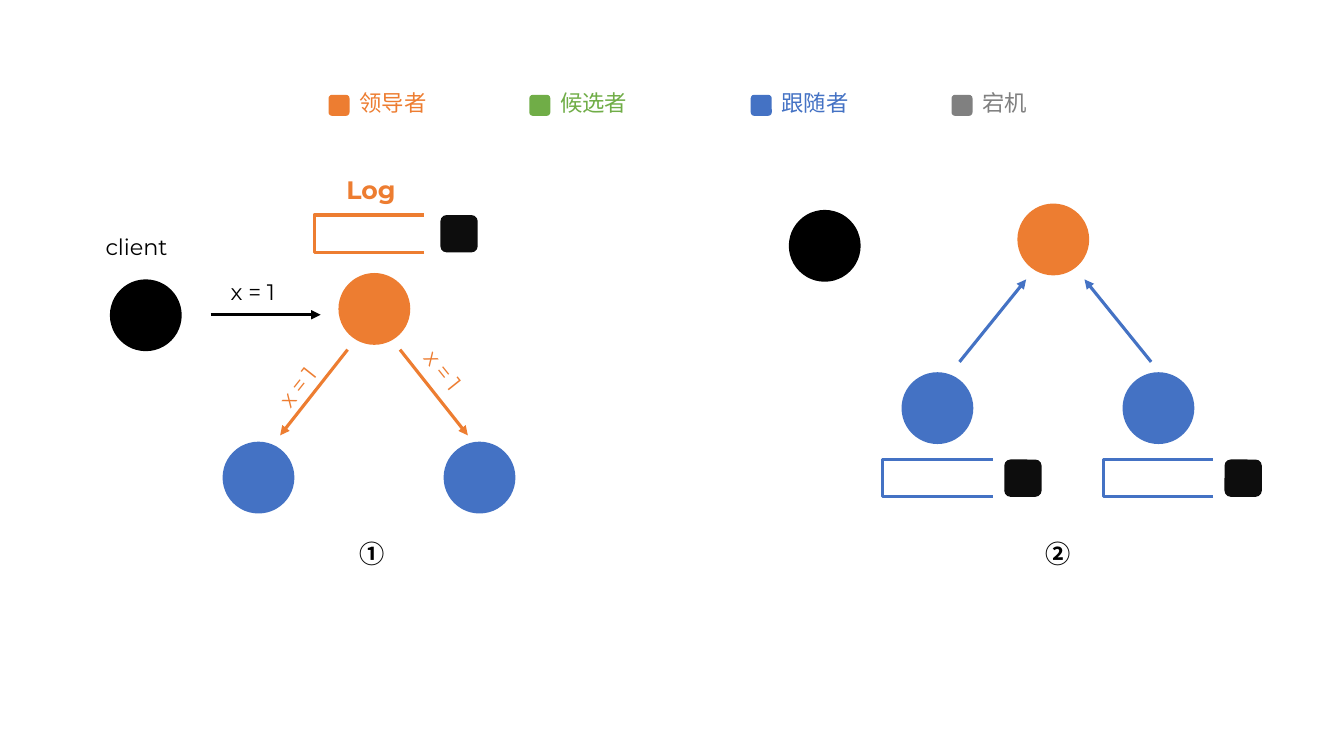
from pptx import Presentation
from pptx.dml.color import RGBColor
from pptx.enum.shapes import MSO_CONNECTOR as Connector, MSO_SHAPE as Shape
from pptx.enum.text import MSO_AUTO_SIZE as AutoSize
from pptx.oxml.ns import qn
from pptx.oxml.xmlchemy import OxmlElement as Element
from pptx.util import Cm, Pt

COLORS = {
    "leader": "ED7D31",
    "candidate": "70AD47",
    "follower": "4472C4",
    "down": "808080",
    "client": "000000",
    "entry": "0D0D0D",
}
LATIN, CHINESE = "Montserrat", "Noto Sans CJK SC"
NODE, ENTRY, SWATCH = 1.81, 0.94, 0.53
LEGEND = [
    ("领导者", "leader", 8.28),
    ("候选者", "candidate", 13.34),
    ("跟随者", "follower", 18.92),
    ("宕机", "down", 23.98),
]
STEP_OFFSETS = [(0, 0), (17.11, -1.75)]
NODES = [
    ("follower", 5.61, 11.13),
    ("follower", 11.18, 11.13),
    ("leader", 8.53, 6.88),
    ("client", 2.77, 7.04),
]


class RaftDiagram:
    """Draws the elements of a log replication diagram on one slide."""

    def __init__(self, slide, line_width=2.25):
        self.shapes = slide.shapes
        self.line_width = Pt(line_width)

    def color(self, name):
        return RGBColor.from_string(COLORS[name])

    def block(self, kind, color, left, top, size):
        shape = self.shapes.add_shape(kind, Cm(left), Cm(top), Cm(size), Cm(size))
        shape.shadow.inherit = False
        shape.fill.solid()
        shape.fill.fore_color.rgb = self.color(color)
        shape.line.fill.background()

    def label(self, text, color, left, top, width, height=0.94,
              size=16, font=LATIN, bold=False, rotation=0):
        box = self.shapes.add_textbox(Cm(left), Cm(top), Cm(width), Cm(height))
        box.rotation = rotation
        frame = box.text_frame
        frame.word_wrap = True
        frame.auto_size = AutoSize.SHAPE_TO_FIT_TEXT
        frame.text = text
        run = frame.paragraphs[0].runs[0]
        run.font.size = Pt(size)
        run.font.bold = bold
        run.font.color.rgb = self.color(color)
        run.font.name = font
        east_asian = Element("a:ea")
        east_asian.set("typeface", font)
        run.font._element.append(east_asian)

    def arrow(self, color, start, end):
        points = [Cm(value) for value in (*start, *end)]
        connector = self.shapes.add_connector(Connector.STRAIGHT, *points)
        connector.line.color.rgb = self.color(color)
        connector.line.width = self.line_width
        properties = connector.element.spPr
        head = Element("a:tailEnd")
        head.set("type", "triangle")
        properties.find(qn("a:ln")).append(head)
        properties.append(Element("a:effectLst"))

    def log(self, color, left, top, entry_offset, width=2.77):
        right, bottom = left + width, top + ENTRY
        builder = self.shapes.build_freeform(Cm(right), Cm(bottom))
        corners = [(left, bottom), (left, top), (right, top)]
        builder.add_line_segments([(Cm(x), Cm(y)) for x, y in corners], close=False)
        outline = builder.convert_to_shape()
        outline.shadow.inherit = False
        outline.fill.background()
        outline.line.color.rgb = self.color(color)
        outline.line.width = self.line_width
        self.block(Shape.ROUNDED_RECTANGLE, "entry", left + entry_offset, top, ENTRY)

    def legend(self, text, color, left):
        self.block(Shape.ROUNDED_RECTANGLE, color, left, 2.39, SWATCH)
        self.label(text, color, left + SWATCH, 2.13, 2.54, font=CHINESE)


def main():
    presentation = Presentation()
    presentation.slide_width, presentation.slide_height = Cm(33.87), Cm(19.05)
    slide = presentation.slides.add_slide(presentation.slide_layouts[6])
    diagram = RaftDiagram(slide)

    for text, color, left in LEGEND:
        diagram.legend(text, color, left)
    for right, down in STEP_OFFSETS:
        for role, left, top in NODES:
            diagram.block(Shape.OVAL, role, left + right, top + down, NODE)
    for number, left in [("①", 8.81), ("②", 26.09)]:
        diagram.label(number, "client", left, 13.44, 1.24, 1.02, 18, CHINESE, True)

    diagram.label("client", "client", 2.41, 5.74, 2.54)
    diagram.label("Log", "leader", 8.48, 4.27, 2.21, 1.02, 18, bold=True)
    diagram.log("leader", 7.92, 5.42, 3.18)
    for color, left, top, rotation in [
        ("client", 5.56, 6.88, 0),
        ("leader", 6.58, 9.07, 308.4),
        ("leader", 10.26, 9.07, 51.3),
    ]:
        diagram.label("x = 1", color, left, top, 2.16, rotation=rotation)

    for left in (22.25, 27.8):
        diagram.log("follower", left, 11.58, 3.06)

    for color, start, end in [
        ("client", (5.31, 7.93), (8.08, 7.93)),
        ("leader", (8.76, 8.81), (7.06, 10.97)),
        ("leader", (10.08, 8.81), (11.79, 10.97)),
        ("follower", (24.18, 9.12), (25.86, 7.04)),
        ("follower", (29.01, 9.12), (27.33, 7.04)),
    ]:
        diagram.arrow(color, start, end)

    presentation.save("out.pptx")


if __name__ == "__main__":
    main()
